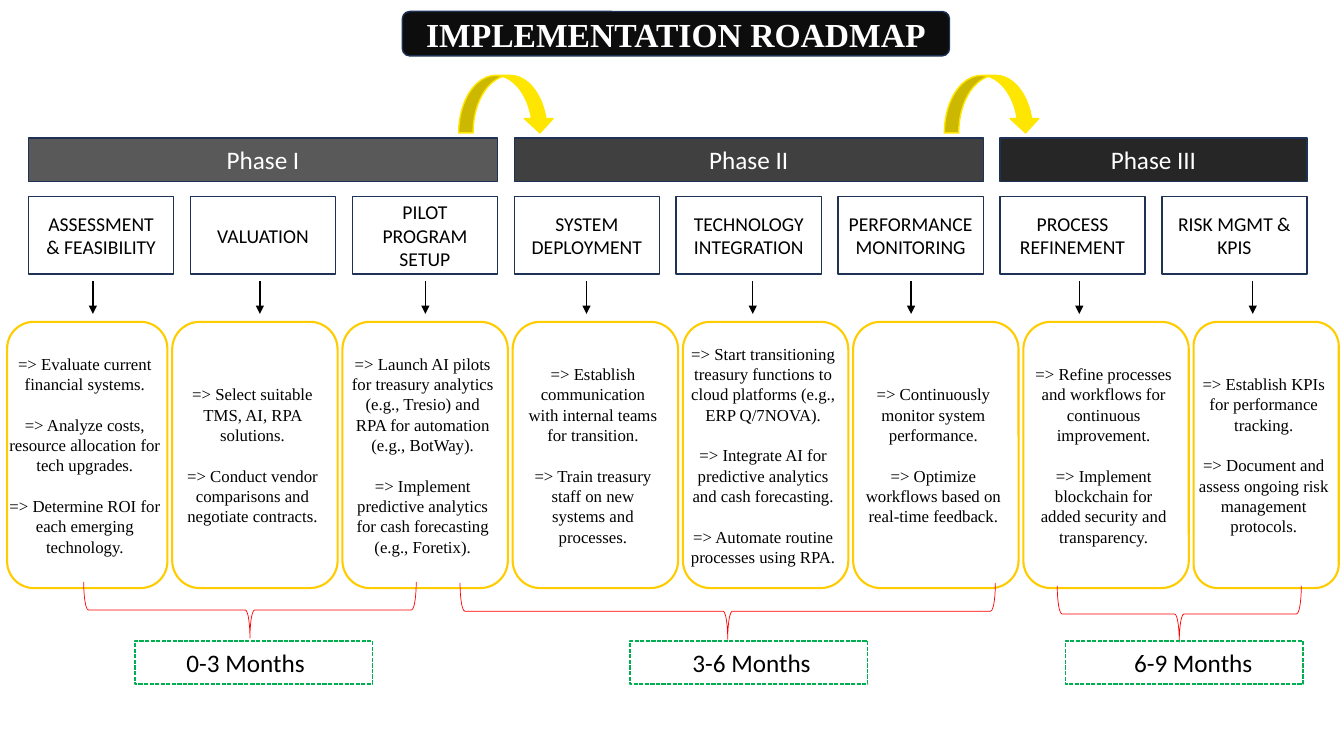
from dataclasses import dataclass

from lxml.etree import SubElement
from pptx import Presentation
from pptx.dml.color import RGBColor
from pptx.enum.dml import MSO_LINE
from pptx.enum.shapes import MSO_CONNECTOR, MSO_SHAPE
from pptx.enum.text import MSO_ANCHOR, PP_ALIGN
from pptx.oxml.ns import qn
from pptx.shapes.autoshape import Shape
from pptx.slide import Slide
from pptx.text.text import TextFrame
from pptx.util import Cm, Pt


@dataclass(frozen=True)
class Theme:
    sans: str = "Calibri"
    serif: str = "Times New Roman"
    white: str = "FFFFFF"
    black: str = "000000"
    title_fill: str = "0D0D0D"
    navy: str = "1E3256"
    gold: str = "FFCC00"
    yellow: str = "FFE600"
    green: str = "00B050"
    red: str = "FF0000"
    title_size: float = 24
    label_size: float = 18
    step_size: float = 14
    body_size: float = 12
    body_leading: float = 14.5


@dataclass(frozen=True)
class Phase:
    name: str
    fill: str
    first_step: int
    step_count: int


@dataclass(frozen=True)
class Step:
    name: str
    tasks: tuple[str, ...]
    arrow_x: float
    text_width: float
    card_width: float = 4.17
    heading_inset: float = 0.2


@dataclass(frozen=True)
class Period:
    label: str
    left: float
    indent: float
    brace_x: float
    brace_y: float
    brace_length: float


THEME = Theme()
STEP_LEFT, STEP_PITCH, STEP_WIDTH = 0.72, 4.08, 3.66
CARD_LEFT, CARD_GAP, CARD_TOP, CARD_HEIGHT = 0.18, 0.12, 8.11, 6.71

PHASES = [
    Phase("Phase I", "595959", 0, 3),
    Phase("Phase II", "404040", 3, 3),
    Phase("Phase III", "262626", 6, 2),
]
STEPS = [
    Step("ASSESSMENT & FEASIBILITY",
         ("=> Evaluate current financial systems.",
          "=> Analyze costs, resource allocation for tech upgrades.",
          "=> Determine ROI for each emerging technology."), 2.34, 4.42, 4.04, 0.35),
    Step("VALUATION",
         ("=> Select suitable TMS, AI, RPA solutions.",
          "=> Conduct vendor comparisons and negotiate contracts."), 6.55, 4.04),
    Step("PILOT PROGRAM SETUP",
         ("=> Launch AI pilots for treasury analytics (e.g., Tresio) and RPA "
          "for automation (e.g., BotWay).",
          "=> Implement predictive analytics for cash forecasting (e.g., Foretix)."),
         10.72, 4.09),
    Step("SYSTEM DEPLOYMENT",
         ("=> Establish communication with internal teams for transition.",
          "=> Train treasury staff on new systems and processes."), 14.78, 3.91),
    Step("TECHNOLOGY INTEGRATION",
         ("=> Start transitioning treasury functions to cloud platforms "
          "(e.g., ERP Q/7NOVA).",
          "=> Integrate AI for predictive analytics and cash forecasting.",
          "=> Automate routine processes using RPA."), 18.97, 4.5),
    Step("PERFORMANCE MONITORING",
         ("=> Continuously monitor system performance.",
          "=> Optimize workflows based on real-time feedback."), 22.96, 4.14),
    Step("PROCESS REFINEMENT",
         ("=> Refine processes and workflows for continuous improvement.",
          "=> Implement blockchain for added security and transparency."), 27.2, 3.99),
    Step("RISK MGMT & KPIS",
         ("=> Establish KPIs for performance tracking.",
          "=> Document and assess ongoing risk management protocols."),
         31.57, 3.89, 3.66),
]
PERIODS = [
    Period("0-3 Months", 3.4, 1.3, 6.3, 15.37, 8.38),
    Period("3-6 Months", 15.88, 1.57, 18.34, 15.4, 13.49),
    Period("6-9 Months", 26.85, 1.73, 29.72, 15.47, 6.15),
]


def write(frame: TextFrame, *paragraphs: str, size: float, font: str = THEME.sans,
          color: str = THEME.black, bold: bool = False,
          align: PP_ALIGN = PP_ALIGN.CENTER, left_inset: float = 0.2,
          right_inset: float = 0.2, leading: float | None = None) -> None:
    frame.word_wrap = True
    frame.vertical_anchor = MSO_ANCHOR.MIDDLE
    frame.margin_left, frame.margin_right = Cm(left_inset), Cm(right_inset)
    frame.margin_top = frame.margin_bottom = 0
    for number, text in enumerate(paragraphs):
        paragraph = frame.add_paragraph() if number else frame.paragraphs[0]
        paragraph.alignment = align
        if leading:
            paragraph.line_spacing = Pt(leading)
            paragraph.space_before = Pt(leading if number else 0)
        run = paragraph.add_run()
        run.text = text
        run.font.size, run.font.name, run.font.bold = Pt(size), font, bold
        run.font.color.rgb = RGBColor.from_string(color)


def add_box(slide: Slide, kind: MSO_SHAPE, left: float, top: float, width: float,
            height: float, line: str, fill: str | None = None,
            weight: float = 1) -> Shape:
    box = slide.shapes.add_shape(kind, Cm(left), Cm(top), Cm(width), Cm(height))
    if fill:
        box.fill.solid()
        box.fill.fore_color.rgb = RGBColor.from_string(fill)
    else:
        box.fill.background()
    box.line.color.rgb = RGBColor.from_string(line)
    box.line.width = Pt(weight)
    box.shadow.inherit = False
    return box


def add_title(slide: Slide, text: str) -> None:
    banner = add_box(slide, MSO_SHAPE.ROUNDED_RECTANGLE, 10.14, 0.29, 13.79, 1.12,
                     THEME.navy, THEME.title_fill)
    title = slide.shapes.title
    title.left, title.top = banner.left, banner.top
    title.width, title.height = banner.width, banner.height
    # The banner lies behind the title text
    title._element.addprevious(banner._element)
    write(title.text_frame, text, size=THEME.title_size, font=THEME.serif,
          color=THEME.white, bold=True)


def add_phase(slide: Slide, phase: Phase) -> None:
    left = STEP_LEFT + phase.first_step * STEP_PITCH
    width = (phase.step_count - 1) * STEP_PITCH + STEP_WIDTH
    bar = add_box(slide, MSO_SHAPE.RECTANGLE, left, 3.48, width, 1.09, THEME.navy, phase.fill)
    write(bar.text_frame, phase.name, size=THEME.label_size, color=THEME.white)


def add_down_arrow(slide: Slide, x: float) -> None:
    arrow = slide.shapes.add_connector(MSO_CONNECTOR.STRAIGHT, Cm(x), Cm(7.09), Cm(x), Cm(7.91))
    arrow.line.color.rgb = RGBColor.from_string(THEME.black)
    arrow.line.width = Pt(1)
    SubElement(arrow.line._get_or_add_ln(), qn("a:tailEnd"), type="triangle")
    SubElement(arrow._element.spPr, qn("a:effectLst"))


def add_step(slide: Slide, step: Step, step_left: float, card_left: float) -> None:
    heading = add_box(slide, MSO_SHAPE.RECTANGLE, step_left, 4.95, STEP_WIDTH, 1.96, THEME.navy)
    write(heading.text_frame, step.name, size=THEME.step_size,
          left_inset=step.heading_inset, right_inset=step.heading_inset)
    add_down_arrow(slide, step.arrow_x)
    add_box(slide, MSO_SHAPE.ROUNDED_RECTANGLE, card_left, CARD_TOP, step.card_width,
            CARD_HEIGHT, THEME.gold, weight=1.5)
    text_left = card_left + (step.card_width - step.text_width) / 2 - 0.06
    tasks = slide.shapes.add_textbox(Cm(text_left), Cm(CARD_TOP), Cm(step.text_width),
                                     Cm(CARD_HEIGHT))
    write(tasks.text_frame, *step.tasks, size=THEME.body_size, font=THEME.serif,
          left_inset=0.25, right_inset=0.25, leading=THEME.body_leading)


def add_period(slide: Slide, period: Period) -> None:
    depth = 1.42
    brace = add_box(slide, MSO_SHAPE.LEFT_BRACE, period.brace_x - depth / 2,
                    period.brace_y - period.brace_length / 2, depth,
                    period.brace_length, THEME.red, weight=0.5)
    brace.rotation = 270
    label = add_box(slide, MSO_SHAPE.RECTANGLE, period.left, 16.15, 5.99, 1.09, THEME.green)
    label.line.dash_style = MSO_LINE.SQUARE_DOT
    write(label.text_frame, period.label, size=THEME.label_size,
          align=PP_ALIGN.LEFT, left_inset=period.indent, right_inset=0)


def main() -> None:
    deck = Presentation()
    deck.slide_width, deck.slide_height = Cm(33.87), Cm(19.05)
    slide = deck.slides.add_slide(deck.slide_layouts[5])
    add_title(slide, "IMPLEMENTATION ROADMAP")

    # Phases and the arrows leading from one to the next
    for phase in PHASES:
        add_phase(slide, phase)
    for left in (11.56, 23.8):
        add_box(slide, MSO_SHAPE.CURVED_DOWN_ARROW, left, 1.9, 2.41, 1.45,
                THEME.yellow, THEME.yellow)

    # Steps with their task cards
    card_left = CARD_LEFT
    for column, step in enumerate(STEPS):
        add_step(slide, step, STEP_LEFT + column * STEP_PITCH, card_left)
        card_left += step.card_width + CARD_GAP

    # Timeline
    for period in PERIODS:
        add_period(slide, period)

    deck.save("out.pptx")


if __name__ == "__main__":
    main()
